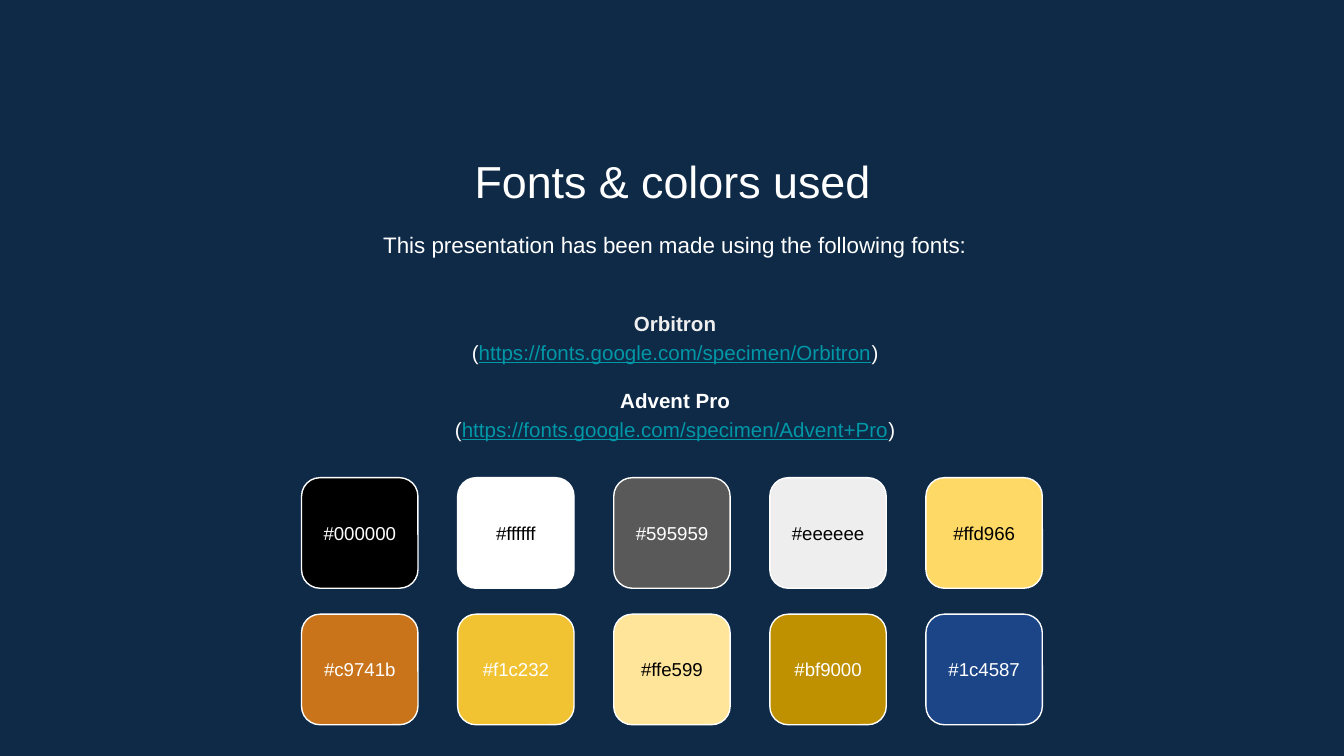
from pptx import Presentation
from pptx.dml.color import RGBColor as RGB
from pptx.enum.shapes import MSO_SHAPE as Shape
from pptx.enum.text import MSO_ANCHOR as Anchor, PP_ALIGN as Align
from pptx.util import Cm, Pt

HUES = {"back": "0E2A47", "white": "FFFFFF", "black": "000000",
        "pale": "EFEFEF", "link": "0097A7"}


def style(run, size, hue="white", bold=False, under=False):
    font = run.font
    font.name, font.size = "Arial", Pt(size)
    font.bold, font.underline = bold, under
    font.color.rgb = RGB.from_string(HUES[hue])


def add_box(left, top, height, text=""):
    """Add a centred text box as wide as the text column."""
    frame = slide.shapes.add_textbox(
        Cm(left), Cm(top), Cm(19.58), Cm(height)).text_frame
    frame.word_wrap = True
    frame.margin_left = frame.margin_right = Cm(0.25)
    frame.margin_top = frame.margin_bottom = Cm(0.25)
    frame.text = text
    frame.paragraphs[0].alignment = Align.CENTER
    return frame


deck = Presentation()
deck.slide_width, deck.slide_height = Cm(25.4), Cm(14.29)
slide = deck.slides.add_slide(deck.slide_layouts[6])
slide.background.fill.solid()
slide.background.fill.fore_color.rgb = RGB.from_string(HUES["back"])

# Title and intro
title = add_box(2.92, 2.65, 1.35, "Fonts & colors used")
style(title.paragraphs[0].runs[0], 24)

intro = add_box(2.97, 4.05, 1.22,
                "This presentation has been made using the following fonts:")
intro.paragraphs[0].line_spacing = 1.15
style(intro.paragraphs[0].runs[0], 12)

# Font names, each with its address below
fonts = [("Orbitron", "pale", "https://fonts.google.com/specimen/Orbitron"),
         ("Advent Pro", "white", "https://fonts.google.com/specimen/Advent+Pro")]
body = add_box(2.97, 5.34, 3.48)
body.vertical_anchor = Anchor.MIDDLE
for i, (name, hue, link) in enumerate(fonts):
    head = body.add_paragraph() if i else body.paragraphs[0]
    head.text = name
    style(head.runs[0], 11, hue, bold=True)
    if i:
        head.space_before = Pt(11)
    line = body.add_paragraph()
    for text in ("(", link, ")"):
        run = line.add_run()
        run.text = text
        is_link = text == link
        style(run, 11, "link" if is_link else "white", under=is_link)
    for para in (head, line):
        para.alignment = Align.CENTER
        para.line_spacing = 1.15

# Colour swatches: code and text colour
rows = [[("#000000", "white"), ("#ffffff", "black"), ("#595959", "white"),
         ("#eeeeee", "black"), ("#ffd966", "black")],
        [("#c9741b", "white"), ("#f1c232", "white"), ("#ffe599", "black"),
         ("#bf9000", "white"), ("#1c4587", "white")]]
for r, row in enumerate(rows):
    for c, (code, hue) in enumerate(row):
        tile = slide.shapes.add_shape(
            Shape.ROUNDED_RECTANGLE, Cm(5.7 + 2.95 * c), Cm(9.03 + 2.58 * r),
            Cm(2.2), Cm(2.09))
        tile.shadow.inherit = False
        tile.fill.solid()
        tile.fill.fore_color.rgb = RGB.from_string(code[1:].upper())
        tile.line.color.rgb = RGB.from_string(HUES["white"])
        tile.line.width = Pt(0.75)
        frame = tile.text_frame
        frame.margin_left = frame.margin_right = Cm(0.25)
        frame.vertical_anchor = Anchor.MIDDLE
        frame.text = code
        frame.paragraphs[0].alignment = Align.CENTER
        style(frame.paragraphs[0].runs[0], 10, hue)

deck.save("out.pptx")
